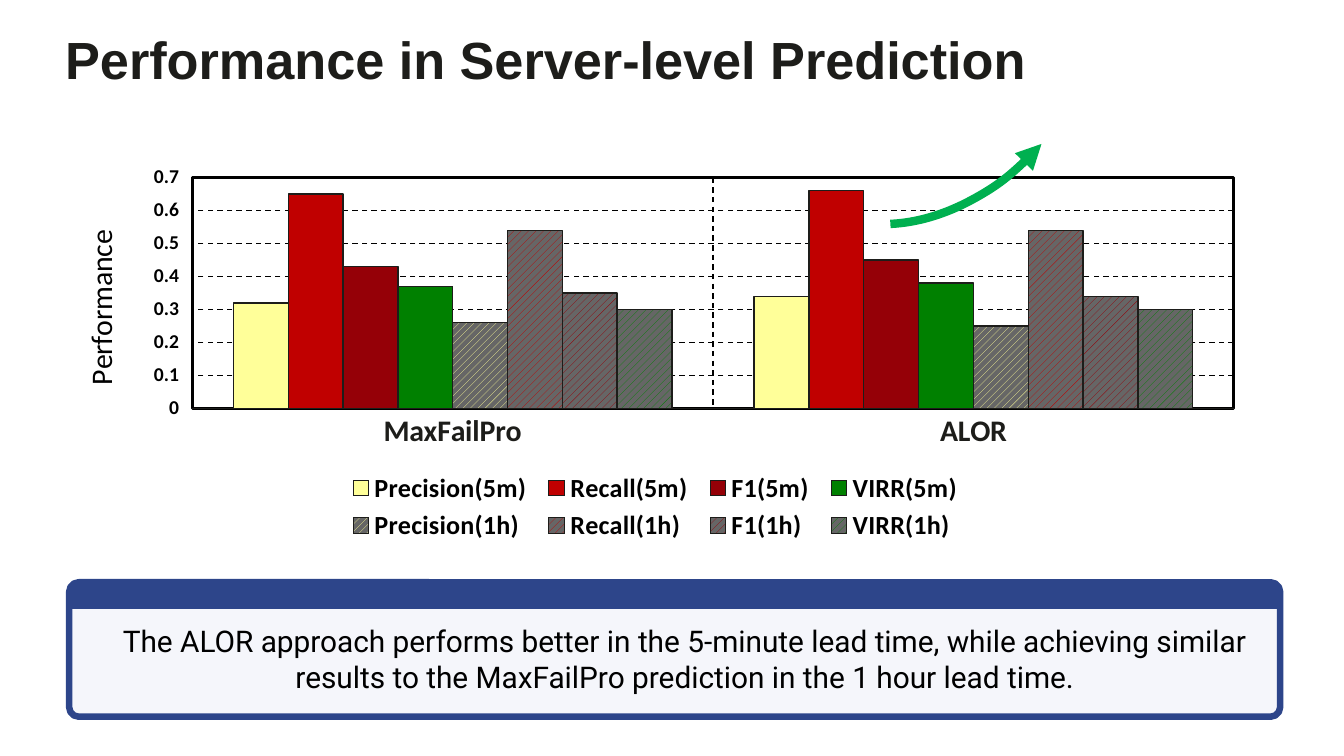
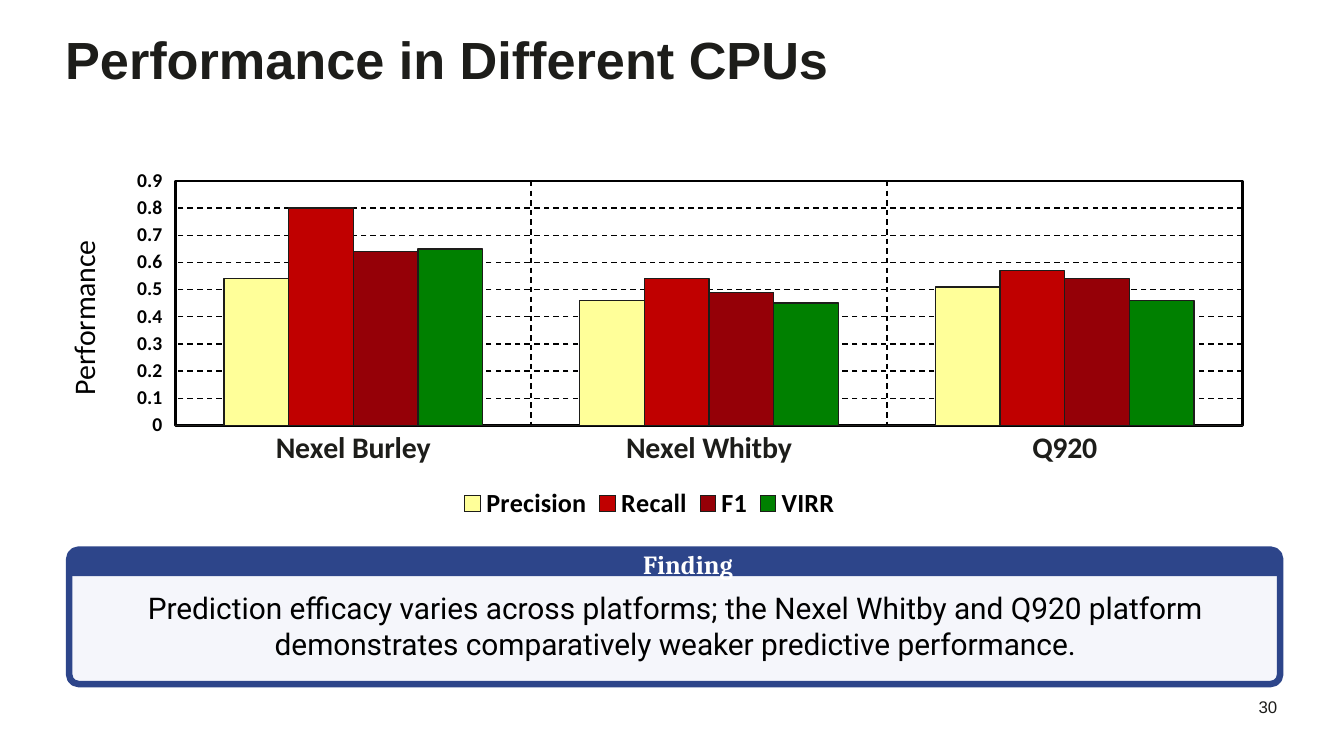
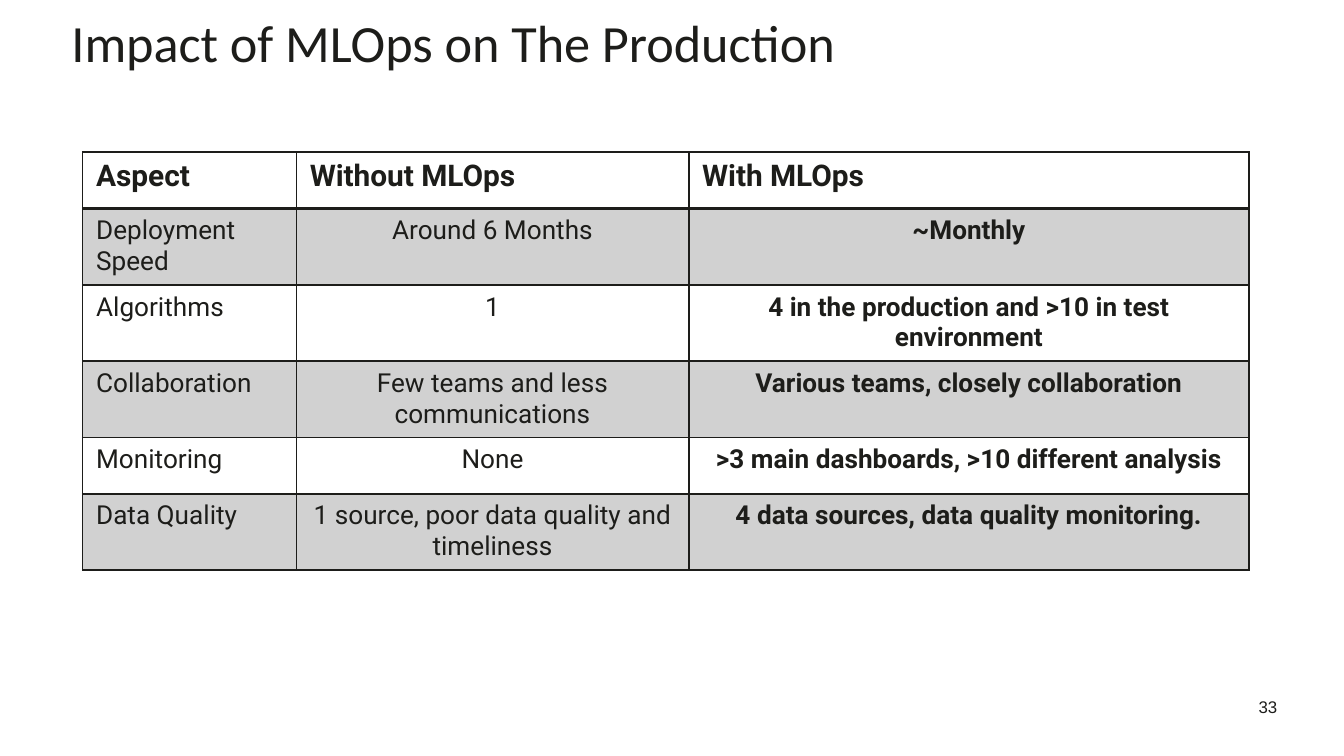
import lxml.etree
import pptx
import pptx.chart.data
import pptx.dml.color
import pptx.enum.chart
import pptx.enum.dml
import pptx.enum.shapes
import pptx.enum.text
import pptx.oxml.ns
import pptx.util

SLIDE_COLUMNS, SLIDE_ROWS = 100, 56.25
CELL = pptx.util.Inches(0.1)
INK, BLACK, WHITE = "1D1D1A", "000000", "FFFFFF"
NAVY, PALE, GREEN, GREY = "2D458A", "F5F6FB", "00B050", "666666"
METRICS = {"Precision": "FFFF99", "Recall": "C00000", "F1": "950007", "VIRR": "008000"}
ALIGN = pptx.enum.text.PP_ALIGN
ANCHOR = pptx.enum.text.MSO_ANCHOR
SHAPE = pptx.enum.shapes.MSO_SHAPE
DASH = pptx.enum.dml.MSO_LINE
TICK = pptx.enum.chart.XL_TICK_MARK


def grid(*counts):
    """Turn counts of grid columns and rows into lengths."""
    return [round(count * CELL) for count in counts]


def color(value):
    """Turn a hex string into a colour."""
    return pptx.dml.color.RGBColor.from_string(value)


def add_xml(parent, tag, **attributes):
    """Append an XML element to a parent and return it."""
    child = lxml.etree.SubElement(parent, pptx.oxml.ns.qn(tag))
    for name, value in attributes.items():
        child.set(name, str(value))
    return child


def find_xml(parent, tag):
    """Find the first XML element with a tag below a parent."""
    return parent.find(".//" + pptx.oxml.ns.qn(tag))


def style_font(font, size, value=INK, bold=False, name="Calibri"):
    """Set size, colour, weight and face of a font."""
    font.size = pptx.util.Pt(size)
    font.color.rgb = color(value)
    font.bold = bold
    font.name = name


def style_line(line, value=INK, width=0.75, dash=None):
    """Set colour, width and dash of a line."""
    line.color.rgb = color(value)
    line.width = pptx.util.Pt(width)
    if dash:
        line.dash_style = dash


def write(frame, text, align=ALIGN.LEFT, spacing=None, **font):
    """Write one formatted paragraph into a text frame."""
    paragraph = frame.paragraphs[0]
    paragraph.alignment = align
    if spacing:
        paragraph.line_spacing = spacing
    run = paragraph.add_run()
    run.text = text
    style_font(run.font, **font)


def set_frame(frame, insets, anchor=ANCHOR.TOP):
    """Set wrapping, insets in grid cells and anchor of a text frame."""
    frame.word_wrap = True
    frame.vertical_anchor = anchor
    frame.margin_left, frame.margin_top, frame.margin_right, frame.margin_bottom = grid(*insets)


def add_text(shapes, place, text, insets=(1, 0.5, 1, 0.5), anchor=ANCHOR.TOP, **style):
    """Add a text box on the grid."""
    frame = shapes.add_textbox(*grid(*place)).text_frame
    set_frame(frame, insets, anchor)
    write(frame, text, **style)


def add_title_rule(slide):
    """Add the dotted line that runs across the title band."""
    rule = slide.shapes.add_connector(pptx.enum.shapes.MSO_CONNECTOR.STRAIGHT,
                                      *grid(4.3, 6, SLIDE_COLUMNS - 4.3, 6))
    style_line(rule.line, WHITE, 1, DASH.ROUND_DOT)
    add_xml(rule.element.spPr, "a:effectLst")


def add_title(slide, text, left=3.87, top=1.25, **style):
    """Add the slide title."""
    add_text(slide.shapes, (left, top, 91.4, 6), text, anchor=ANCHOR.BOTTOM,
             spacing=0.9, size=28, **style)


def add_page_number(slide, number):
    """Add the page number at the lower right."""
    add_text(slide.shapes, (93.65, 51.85, 4.1, 1.5), str(number), insets=(0, 0, 0, 0),
             size=9, value="1D1D1B", name="Arial")


def add_outline(shapes, kind, place, adjustments, line, width, fill=None):
    """Add a preset shape with a line and an optional fill."""
    shape = shapes.add_shape(kind, *grid(*place))
    shape.shadow.inherit = False
    for index, adjustment in enumerate(adjustments):
        shape.adjustments[index] = adjustment
    style_line(shape.line, line, width)
    if fill:
        shape.fill.solid()
        shape.fill.fore_color.rgb = color(fill)
    else:
        shape.fill.background()
    return shape


def add_callout(slide, top, text, text_width, heading=None):
    """Add a framed conclusion with a coloured band on top."""
    shapes = slide.shapes.add_group_shape().shapes
    add_outline(shapes, SHAPE.ROUNDED_RECTANGLE, (5.15, top, 90.1, 10), [0.07], NAVY, 3.5, PALE)
    band = add_outline(shapes, SHAPE.ROUND_2_SAME_RECTANGLE, (5.15, top, 90.1, 1.9),
                       [0.34, 0], NAVY, 1, NAVY)
    if heading:
        set_frame(band.text_frame, (2, 0, 0, 0), ANCHOR.MIDDLE)
        write(band.text_frame, heading, ALIGN.CENTER, size=14, value=WHITE, bold=True,
              name="Cambria")
    add_text(shapes, (5.7, top + 2.5, text_width, 6.4), text, insets=(2, 0.5, 1, 0.5),
             align=ALIGN.CENTER, size=16, value=BLACK, name="Roboto")


def add_rising_arrow(slide):
    """Add the curved arrow that points up."""
    angles = 275.28, 334.46
    arrow = add_outline(slide.shapes, SHAPE.ARC, (54.3, -8.2, 30.3, 22.3),
                        [angle * 0.6 for angle in angles], GREEN, 4.5)
    arrow.rotation = 128.7
    add_xml(find_xml(arrow.element.spPr, "a:ln"), "a:headEnd", type="triangle")


def set_layout(element, index, target=None, **percents):
    """Place a chart part by percents of the chart's size."""
    for old in element.findall(pptx.oxml.ns.qn("c:layout")):
        element.remove(old)
    layout = add_xml(element, "c:layout")
    element.insert(index, layout)
    manual = add_xml(layout, "c:manualLayout")
    if target:
        add_xml(manual, "c:layoutTarget", val=target)
    for mode in ("c:xMode", "c:yMode"):
        add_xml(manual, mode, val="edge")
    for name, percent in percents.items():
        add_xml(manual, f"c:{name}", val=percent / 100)


def style_axis(axis, size, value, tick):
    """Set labels, ticks and dashed grid of an axis."""
    style_font(axis.tick_labels.font, size, value, True)
    axis.major_tick_mark = tick
    axis.minor_tick_mark = TICK.NONE
    axis.has_major_gridlines = True
    style_line(axis.major_gridlines.format.line, BLACK, 0.75, DASH.DASH)


def fill_series(series, value, hatched):
    """Fill the columns of a series plainly or with a hatch."""
    series.invert_if_negative = False
    fill = series.format.fill
    if hatched:
        fill.patterned()
        fill.pattern = pptx.enum.dml.MSO_PATTERN.WIDE_UPWARD_DIAGONAL
        fill.back_color.rgb = color(GREY)
    else:
        fill.solid()
    fill.fore_color.rgb = color(value)
    style_line(series.format.line)


def add_performance_chart(slide, place, categories, series, maximum, plot, legend, title):
    """Add a clustered column chart of the metrics."""
    data = pptx.chart.data.CategoryChartData()
    data.categories = categories
    for name, values in series.items():
        data.add_series(name, values)
    chart = slide.shapes.add_chart(pptx.enum.chart.XL_CHART_TYPE.COLUMN_CLUSTERED,
                                   *grid(*place), data).chart
    style_font(chart.font, 10)
    chart.has_title = False
    chart.has_legend = True
    chart.legend.position = pptx.enum.chart.XL_LEGEND_POSITION.BOTTOM
    chart.legend.include_in_layout = False
    style_font(chart.legend.font, 14, BLACK, True)

    columns = chart.plots[0]
    columns.gap_width, columns.overlap = 150, 0
    columns.vary_by_categories = False
    for item in columns.series:
        fill_series(item, METRICS[item.name.split("(")[0]], item.name.endswith("(1h)"))

    style_axis(chart.category_axis, 16, INK, TICK.NONE)
    style_line(chart.category_axis.format.line)
    axis = chart.value_axis
    style_axis(axis, 10.5, BLACK, TICK.OUTSIDE)
    axis.format.line.fill.background()
    axis.minimum_scale, axis.maximum_scale, axis.major_unit = 0, maximum, 0.1
    write(axis.axis_title.text_frame, "Performance", size=16, value=BLACK)

    area = find_xml(chart.element, "c:plotArea")
    border = add_xml(add_xml(area, "c:spPr"), "a:ln", w=pptx.util.Pt(1.5))
    add_xml(add_xml(border, "a:solidFill"), "a:srgbClr", val=BLACK)
    set_layout(area, 0, "inner", **plot)
    set_layout(find_xml(chart.element, "c:legend"), 1, **legend)
    set_layout(find_xml(area, "c:title"), 1, **title)


def set_borders(cell, **widths):
    """Draw the four borders of a table cell."""
    properties = cell._tc.get_or_add_tcPr()
    for side in "LRTB":
        border = add_xml(properties, f"a:ln{side}", w=pptx.util.Pt(widths.get(side, 1)))
        add_xml(add_xml(border, "a:solidFill"), "a:srgbClr", val=INK)


def shade(cell, percent):
    """Fill a table cell with translucent ink."""
    cell.fill.solid()
    cell.fill.fore_color.rgb = color(INK)
    fill = cell._tc.tcPr.find(pptx.oxml.ns.qn("a:solidFill"))
    add_xml(fill[0], "a:alpha", val=percent * 1000)


def add_comparison_table(slide, rows, widths, row_height):
    """Add a table with a header row and shaded odd rows."""
    place = grid(6.15, 11.33, sum(widths), row_height * len(rows))
    table = slide.shapes.add_table(len(rows), len(widths), *place).table
    table.first_row = table.horz_banding = False
    for column, width in zip(table.columns, grid(*widths)):
        column.width = width
    for row, texts in enumerate(rows):
        for column, text in enumerate(texts):
            cell = table.cell(row, column)
            set_borders(cell, T=2 if row == 1 else 1, B=2 if row == 0 else 1)
            if row % 2:
                shade(cell, 20)
            else:
                cell.fill.background()
            write(cell.text_frame, text, ALIGN.CENTER if row and column else ALIGN.LEFT,
                  size=14 if row else 16, bold=row == 0 or column == 2, name="Roboto")


def build_server_slide(slide):
    """Build the slide on server-level prediction."""
    add_title(slide, "Performance in Server-level Prediction", bold=True, name="Arial")
    add_callout(slide, 43.33, "The ALOR approach performs better in the 5-minute lead time, "
                "while achieving similar results to the MaxFailPro prediction in the "
                "1 hour lead time.", 89.5)
    values = {
        "5m": [(0.32, 0.34), (0.65, 0.66), (0.43, 0.45), (0.37, 0.38)],
        "1h": [(0.26, 0.25), (0.54, 0.54), (0.35, 0.34), (0.3, 0.3)],
    }
    series = {f"{metric}({lead})": pair for lead, pairs in values.items()
              for metric, pair in zip(METRICS, pairs)}
    add_performance_chart(slide, (3.9, 11.8, 89.7, 29), ["MaxFailPro", "ALOR"], series, 0.7,
                          plot=dict(x=11.6, y=4.9, w=86.4, h=59.2),
                          legend=dict(x=23.8, y=79.2, w=52.4, h=20.3),
                          title=dict(x=1.9, y=17))
    add_rising_arrow(slide)


def build_processor_slide(slide):
    """Build the slide on different processors."""
    add_page_number(slide, 30)
    add_title(slide, "Performance in Different CPUs", bold=True, name="Arial")
    add_callout(slide, 40.9, "Prediction efficacy varies across platforms; the Nexel Whitby and "
                "Q920 platform demonstrates comparatively weaker predictive performance.",
                88.1, heading="Finding")
    values = [(0.54, 0.46, 0.51), (0.8, 0.54, 0.57), (0.64, 0.49, 0.54), (0.65, 0.45, 0.46)]
    add_performance_chart(slide, (2.5, 12, 91.8, 27.2), ["Nexel Burley", "Nexel Whitby", "Q920"],
                          dict(zip(METRICS, values)), 0.9,
                          plot=dict(x=11.5, y=5.4, w=86.5, h=66.9),
                          legend=dict(x=33.9, y=88.3, w=32.1, h=12),
                          title=dict(x=2, y=20.3))


def build_impact_slide(slide):
    """Build the slide that compares work with and without MLOps."""
    add_page_number(slide, 33)
    add_comparison_table(slide, [
        ("Aspect", "Without MLOps", "With MLOps"),
        ("Deployment Speed", "Around 6 Months", "~Monthly"),
        ("Algorithms", "1", "4 in the production and >10 in test environment"),
        ("Collaboration", "Few teams and less communications",
         "Various teams, closely collaboration"),
        ("Monitoring", "None", ">3 main dashboards, >10 different analysis"),
        ("Data Quality", "1 source, poor data quality and timeliness",
         "4 data sources, data quality monitoring."),
    ], widths=(15.9, 29.2, 41.7), row_height=4.2)
    add_title(slide, "Impact of MLOps on The Production", left=4.33, top=0)


def main():
    """Build and save the presentation."""
    presentation = pptx.Presentation()
    presentation.slide_width, presentation.slide_height = grid(SLIDE_COLUMNS, SLIDE_ROWS)
    for build in (build_server_slide, build_processor_slide, build_impact_slide):
        slide = presentation.slides.add_slide(presentation.slide_layouts[6])
        add_title_rule(slide)
        build(slide)
    presentation.save("out.pptx")


if __name__ == "__main__":
    main()
